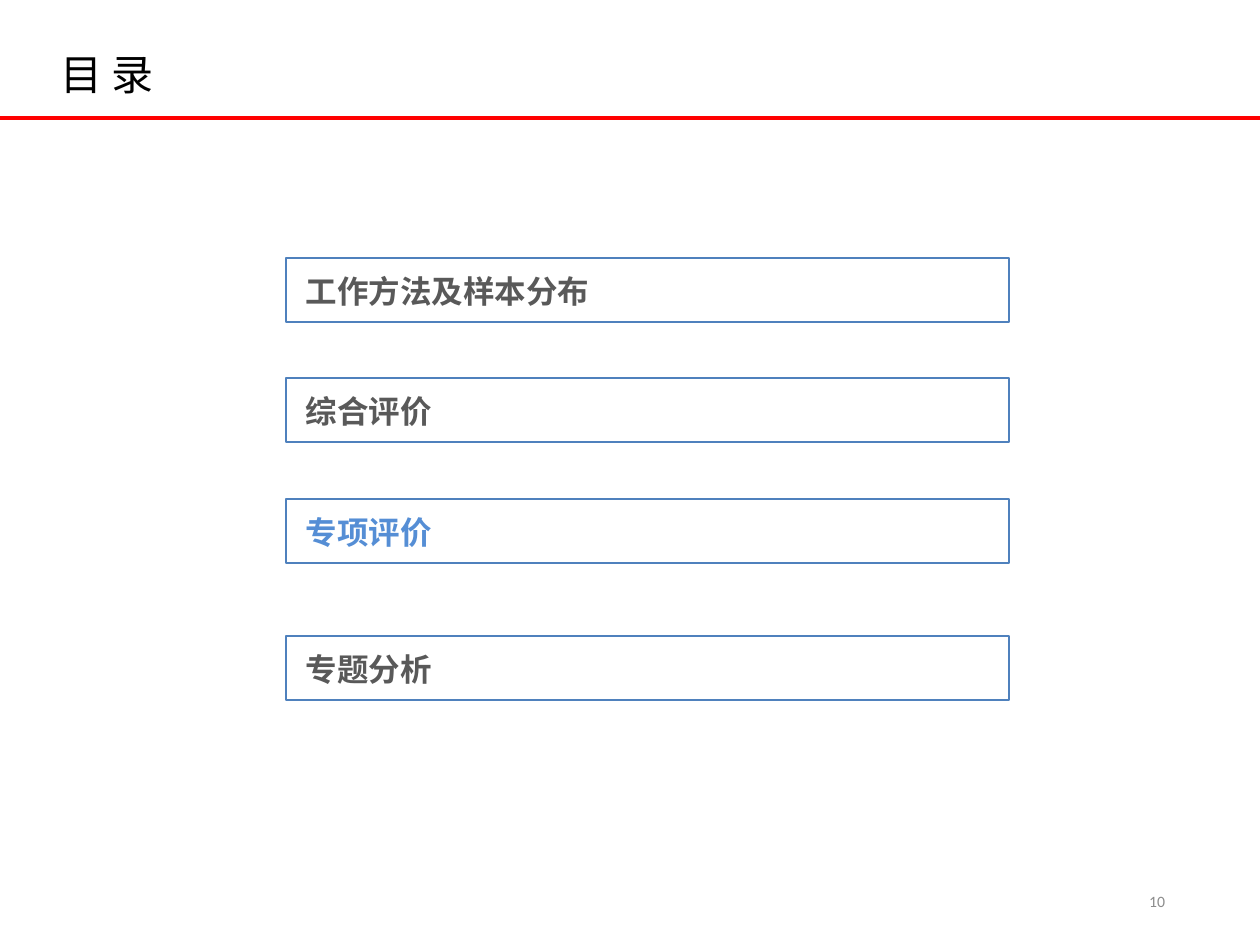
from lxml.etree import SubElement
from pptx import Presentation
from pptx.dml.color import RGBColor
from pptx.enum.shapes import MSO_CONNECTOR as Connector, MSO_SHAPE as Shape
from pptx.enum.text import MSO_ANCHOR as Anchor, PP_ALIGN as Align
from pptx.oxml.ns import qn
from pptx.util import Emu, Pt

CJK = "Noto Sans CJK SC"


def px(length):
    return Emu(round(length * 914400 / 126))


def color(code):
    return RGBColor.from_string(code)


def apply(target, values):
    for name, value in values.items():
        setattr(target, name, value)


class Agenda:
    white, border, rule, ink = "FFFFFF", "4F81BD", "FF0000", "000000"
    muted, active, number = "595959", "558ED5", "8C8C8C"

    def __init__(self, deck):
        self.slide = deck.slides.add_slide(deck.slide_layouts[6])

    def text(self, words, box, hue, size, font=CJK, bold=False,
             align=Align.LEFT, inset=(12, 6), parent=None):
        shapes = (parent or self.slide).shapes
        frame = shapes.add_textbox(*map(px, box)).text_frame
        side, edge = map(px, inset)
        apply(frame, dict(word_wrap=True, vertical_anchor=Anchor.MIDDLE,
                          margin_left=side, margin_right=side,
                          margin_top=edge, margin_bottom=edge))
        paragraph = frame.paragraphs[0]
        paragraph.alignment = align
        run = paragraph.add_run()
        run.text = words
        apply(run.font, dict(name=font, size=Pt(size), bold=bold))
        run.font.color.rgb = color(hue)
        SubElement(run._r.get_or_add_rPr(), qn("a:ea"), typeface=font)

    def divider(self, y, width):
        line = self.slide.shapes.add_connector(
            Connector.STRAIGHT, 0, px(y), px(width), px(y))
        line.line.width = Pt(1.75)
        line.line.color.rgb = color(self.rule)
        SubElement(line._element.spPr, qn("a:effectLst"))

    def entry(self, topic, top, hue):
        group = self.slide.shapes.add_group_shape()
        frame = group.shapes.add_shape(
            Shape.RECTANGLE, *map(px, (286, top, 723, 64)))
        frame.shadow.inherit = False
        frame.fill.solid()
        frame.fill.fore_color.rgb = color(self.white)
        frame.line.color.rgb = color(self.border)
        frame.line.width = Pt(1)
        self.text(topic, (291, top + 3, 567, 59), hue, 18, bold=True,
                  inset=(15, 15), parent=group)


def main():
    deck = Presentation()
    apply(deck, dict(slide_width=px(1260), slide_height=px(945)))
    agenda = Agenda(deck)
    agenda.text("10", (890, 876, 284, 50), agenda.number, 9, font="Calibri",
                align=Align.RIGHT, inset=(9, 5))
    agenda.divider(118, 1260)
    agenda.text("目 录", (48, 38, 827, 71), agenda.ink, 24)
    topics = [("工作方法及样本分布", 258, agenda.muted),
              ("综合评价", 378, agenda.muted),
              ("专项评价", 499, agenda.active),
              ("专题分析", 636, agenda.muted)]
    for topic, top, hue in topics:
        agenda.entry(topic, top, hue)
    deck.save("out.pptx")


if __name__ == "__main__":
    main()
